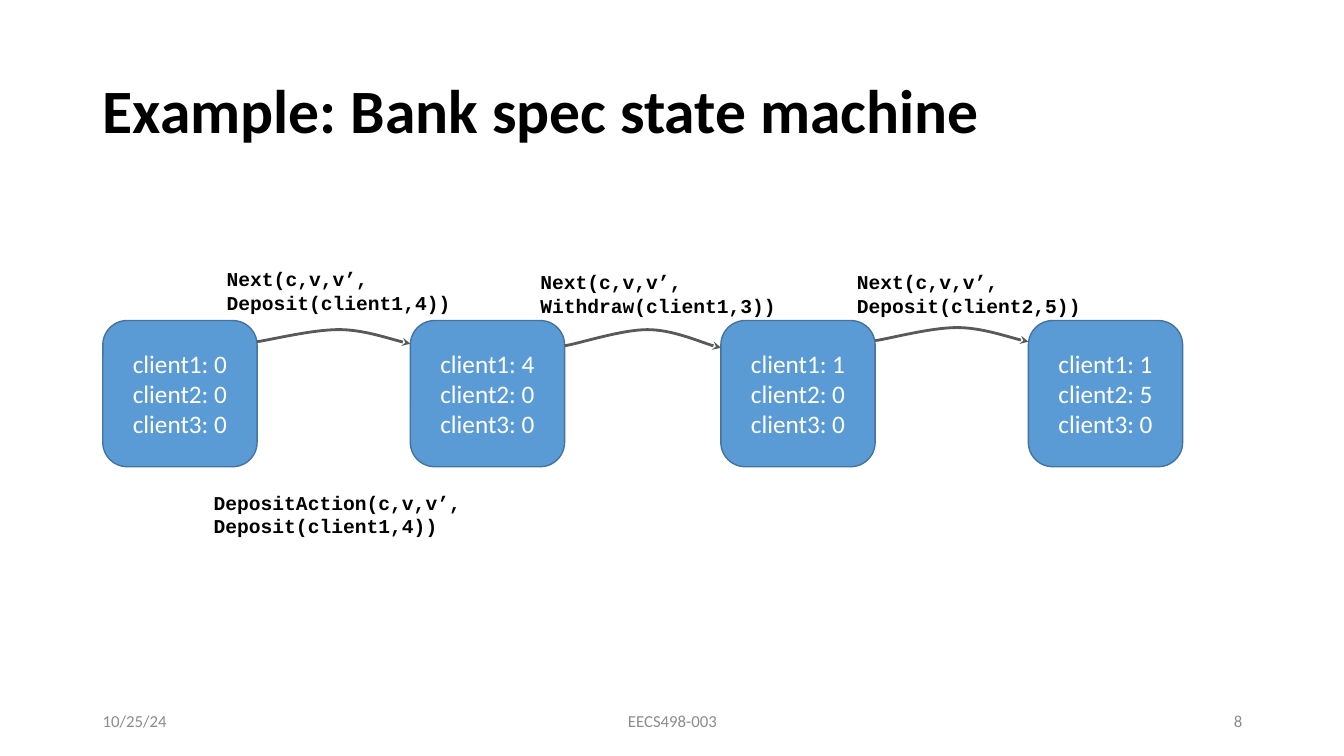
from lxml import etree
from pptx import Presentation
from pptx.dml.color import RGBColor
from pptx.enum.shapes import MSO_SHAPE
from pptx.enum.text import MSO_ANCHOR, PP_ALIGN
from pptx.oxml.ns import qn
from pptx.util import Pt

ROUND = MSO_SHAPE.ROUNDED_RECTANGLE
MIDDLE, TOP = MSO_ANCHOR.MIDDLE, MSO_ANCHOR.TOP
LEFT, CENTER, RIGHT = PP_ALIGN.LEFT, PP_ALIGN.CENTER, PP_ALIGN.RIGHT
PX = 9144

TITLE = "Example: Bank spec state machine"
STATES = [(102, (0, 0, 0)), (407, (4, 0, 0)), (715, (1, 0, 0)), (1020, (1, 5, 0))]
STATE_Y, STATE_W, STATE_H = 318, 153, 145
ARROWS = [(339, 327, 341), (343, 327, 345), (338, 325, 339)]
BENDS = (0.09, 0.36, 0.53, 0.69, 0.92)
LABELS = [
    ((215, 260, 246, 57), ["Next(c,v,v’,", "Deposit(client1,4))"]),
    ((526, 263, 265, 57), ["Next(c,v,v’, Withdraw(client1,3))"]),
    ((840, 263, 251, 57), ["Next(c,v,v’, Deposit(client2,5))"]),
    ((202, 482, 281, 57), ["DepositAction(c,v,v’,", "Deposit(client1,4))"]),
]
FOOTERS = [
    ((92, 695, 300, 40), "10/25/24", LEFT),
    ((442, 695, 450, 40), "EECS498-003", CENTER),
    ((942, 695, 300, 40), "8", RIGHT),
]


def color(code):
    return RGBColor.from_string(code)


def scale(box):
    return [n * PX for n in box]


def write(shape, lines, size, ink, align=LEFT, anchor=MIDDLE, font="Calibri", bold=False):
    frame = shape.text_frame
    frame.word_wrap = True
    frame.vertical_anchor = anchor
    for i, line in enumerate(lines):
        para = frame.paragraphs[0] if i == 0 else frame.add_paragraph()
        para.alignment = align
        run = para.add_run()
        run.text = line
        run.font.size = Pt(size)
        run.font.name = font
        run.font.bold = bold
        run.font.color.rgb = color(ink)


def add_state(shapes, left, funds):
    state = shapes.add_shape(ROUND, *scale((left, STATE_Y, STATE_W, STATE_H)))
    state.shadow.inherit = False
    state.fill.solid()
    state.fill.fore_color.rgb = color("5B9BD5")
    state.line.color.rgb = color("43739E")
    state.line.width = Pt(1)
    lines = [f"client{n}: {sum}" for n, sum in enumerate(funds, 1)]
    write(state, lines, 18, "FFFFFF", CENTER)


def add_arrow(shapes, start, end, heights):
    first, peak, last = heights
    xs = [round(start + (end - start) * bend) for bend in BENDS] + [end]
    ys = [first - 2, peak, peak, peak, last - 2, last]
    pen = shapes.build_freeform(start, first, scale=PX)
    pen.add_line_segments(list(zip(xs, ys)), close=False)
    arrow = pen.convert_to_shape()
    arrow.shadow.inherit = False
    arrow.fill.background()
    arrow.line.color.rgb = color("595959")
    arrow.line.width = Pt(2)
    etree.SubElement(arrow.line._get_or_add_ln(), qn("a:tailEnd"), type="stealth")
    steps = list(arrow._element.iter(qn("a:lnTo")))
    for i in range(0, len(steps), 3):
        curve = etree.Element(qn("a:cubicBezTo"))
        steps[i].addprevious(curve)
        for step in steps[i:i + 3]:
            curve.append(step[0])
            step.getparent().remove(step)


def main():
    deck = Presentation()
    deck.slide_width, deck.slide_height = scale((1333, 750))
    slide = deck.slides.add_slide(deck.slide_layouts[5])
    shapes = slide.shapes

    title = shapes.title
    title.left, title.top, title.width, title.height = scale((92, 40, 1150, 145))
    write(title, [TITLE], 44, "000000", bold=True)
    title.text_frame.paragraphs[0].line_spacing = 0.9

    for box, text, align in FOOTERS:
        write(shapes.add_textbox(*scale(box)), [text], 12, "8C8C8C", align)
    for left, funds in STATES:
        add_state(shapes, left, funds)
    for (left, _), (end, _), heights in zip(STATES, STATES[1:], ARROWS):
        add_arrow(shapes, left + STATE_W, end, heights)
    for box, lines in LABELS:
        label = shapes.add_textbox(*scale(box))
        write(label, lines, 14, "000000", LEFT, TOP, "Courier New", True)

    deck.save("out.pptx")


if __name__ == "__main__":
    main()
